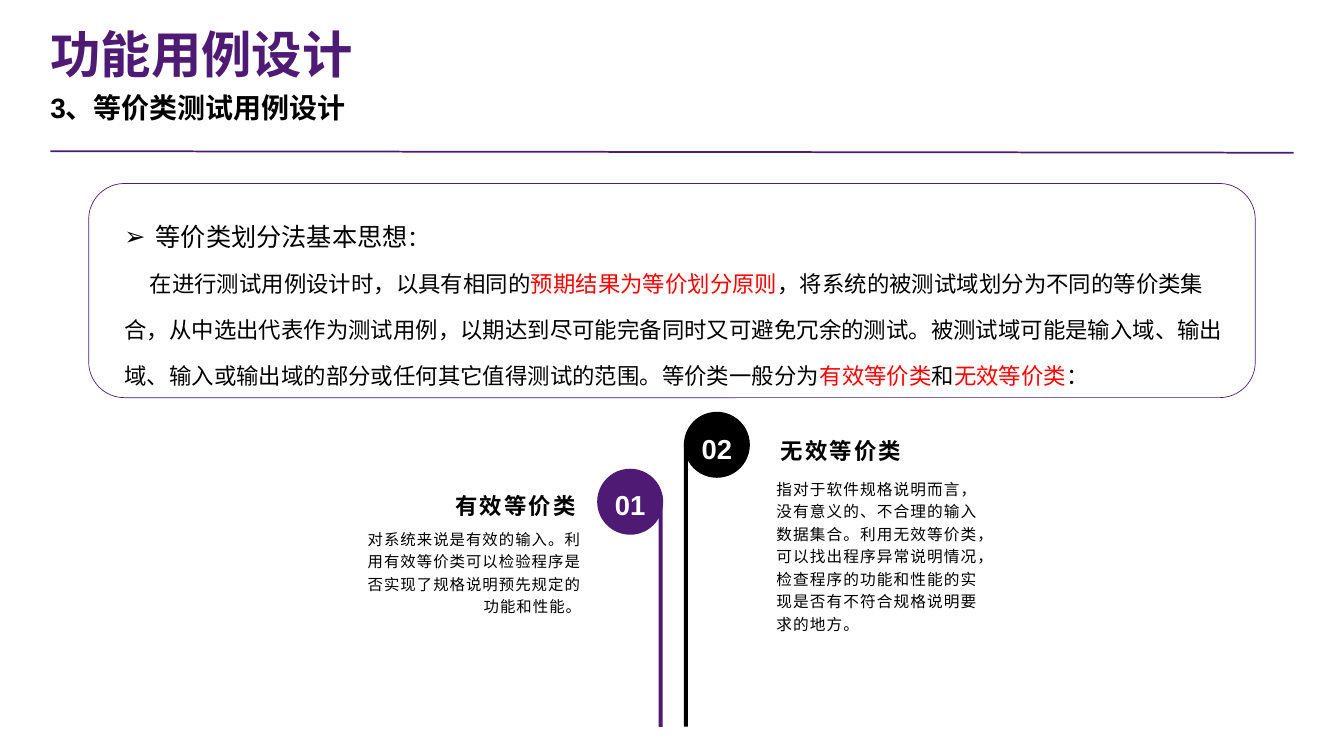
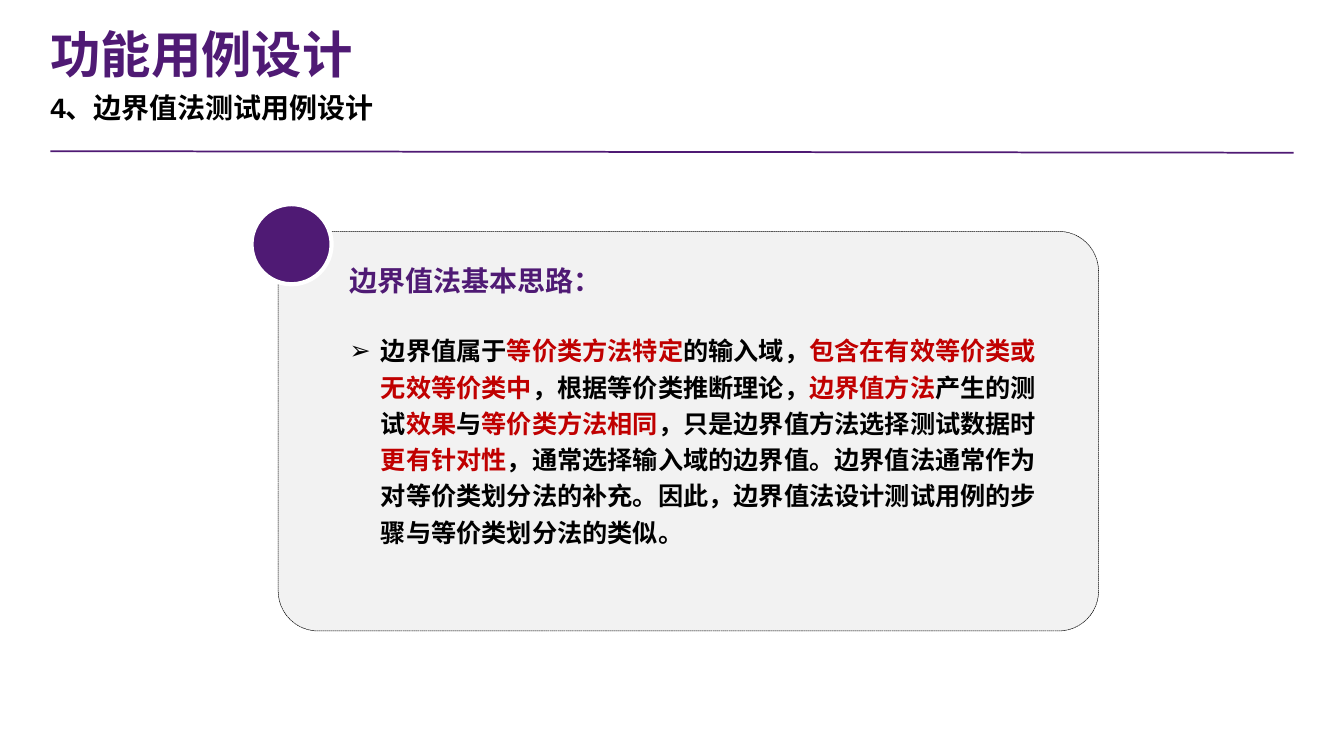
from lxml.etree import SubElement
from pptx import Presentation
from pptx.dml.color import RGBColor
from pptx.enum.dml import MSO_LINE
from pptx.enum.shapes import MSO_CONNECTOR, MSO_SHAPE
from pptx.enum.text import MSO_ANCHOR, PP_ALIGN
from pptx.oxml.ns import qn
from pptx.util import Inches, Pt

PURPLE, BLACK, WHITE = "4F1A74", "000000", "FFFFFF"
GREY, RED, DARK_RED = "F2F2F2", "FF0000", "C00000"
SANS, CJK = "Arial", "Noto Sans CJK SC"
rgb = RGBColor.from_string


def add_shape(s, kind, box, fill=None, line=None, width=1):
    sp = s.shapes.add_shape(kind, *map(Inches, box))
    sp.shadow.inherit = False
    if fill:
        sp.fill.solid()
        sp.fill.fore_color.rgb = rgb(fill)
    else:
        sp.fill.background()
    if line:
        sp.line.color.rgb = rgb(line)
        sp.line.width = Pt(width)
    else:
        sp.line.fill.background()
    return sp


def write(tf, text, size, color=BLACK, mark=RED, font=SANS, bold=False,
          align=PP_ALIGN.LEFT, anchor=MSO_ANCHOR.TOP, inset=(0.1, 0.05),
          spacing=1.2, tracking=0, bullet=False, indent=0):
    """Append a paragraph; every second piece between bars takes the mark colour."""
    tf.word_wrap = True
    tf.vertical_anchor = anchor
    tf.margin_left = tf.margin_right = Inches(inset[0])
    tf.margin_top = tf.margin_bottom = Inches(inset[1])
    p = tf.paragraphs[0] if not tf.text else tf.add_paragraph()
    p.alignment = align
    p.line_spacing = spacing
    pPr = p._p.get_or_add_pPr()
    if bullet:
        pPr.set("marL", str(Inches(0.62)))
        indent = -0.62
        SubElement(pPr, qn("a:buFont")).set("typeface", SANS)
        SubElement(pPr, qn("a:buChar")).set("char", "➢")
    pPr.set("indent", str(Inches(indent)))
    for i, piece in enumerate(text.split("|")):
        r = p.add_run()
        r.text = piece
        for name, value in {"size": Pt(size), "name": font, "bold": bold}.items():
            setattr(r.font, name, value)
        r.font.color.rgb = rgb(mark if i % 2 else color)
        rPr = r._r.get_or_add_rPr()
        rPr.set("lang", "zh-CN")
        if tracking:
            rPr.set("spc", str(int(tracking * 100)))
        SubElement(rPr, qn("a:ea")).set("typeface", CJK)
    return p


prs = Presentation()
prs.slide_width, prs.slide_height = Inches(26.67), Inches(15)

# Shared header
slides = []
for subtitle in ("3、等价类测试用例设计", "4、边界值法测试用例设计"):
    s = prs.slides.add_slide(prs.slide_layouts[6])
    slides.append(s)
    rule = s.shapes.add_connector(MSO_CONNECTOR.STRAIGHT, *map(Inches, (1, 3, 25.67, 3.03)))
    rule.line.color.rgb = rgb(PURPLE)
    rule.line.width = Pt(2.5)
    SubElement(rule._element.spPr, qn("a:effectLst"))
    title = s.shapes.add_textbox(*map(Inches, (1, 0.33, 24.67, 1.33)))
    write(title.text_frame, "功能用例设计", 72, PURPLE, bold=True,
          anchor=MSO_ANCHOR.BOTTOM, inset=(0, 0), spacing=1)
    sub = s.shapes.add_textbox(*map(Inches, (1, 1.67, 24.67, 1)))
    write(sub.text_frame, subtitle, 40, bold=True, inset=(0, 0))

# Slide 1: equivalence classes
s = slides[0]
add_shape(s, MSO_SHAPE.ROUNDED_RECTANGLE, (1.76, 3.64, 23.15, 4.25), line=PURPLE)
tf = s.shapes.add_textbox(*map(Inches, (2.39, 3.82, 21.97, 4.05))).text_frame
idea = dict(font=CJK, anchor=MSO_ANCHOR.MIDDLE, inset=(0.08, 0.08), spacing=1.7)
p = write(tf, "等价类划分法基本思想||：", 36, bullet=True, **idea)
p.runs[-1].font.size = Pt(32)
p._p.remove(p.runs[1]._r)
write(tf, "在进行测试用例设计时，以具有相同的|预期结果为等价划分原则|，将系统的被测试域划分为"
      "不同的等价类集合，从中选出代表作为测试用例，以期达到尽可能完备同时又可避免冗余的测试。"
      "被测试域可能是输入域、输出域、输入或输出域的部分或任何其它值得测试的范围。"
      "等价类一般分为|有效等价类|和|无效等价类|：", 32, indent=0.5, **idea)

DOT, STEM, BASE = 1.31, 0.08, 14.42
branches = [
    # number, colour, dot left/top, stem left, heading box left/top, body left/top, size, align
    ("02", BLACK, 13.57, 8.17, 13.57, (15.29, 8.44), (15.31, 9.39), 22.4, PP_ALIGN.LEFT,
     "无效等价类", "指对于软件规格说明而言，没有意义的、不合理的输入数据集合。利用无效等价类，"
     "可以找出程序异常说明情况，检查程序的功能和性能的实现是否有不符合规格说明要求的地方。"),
    ("01", PURPLE, 11.85, 9.3, 13.07, (7.15, 9.52), (7.15, 10.4), 22, PP_ALIGN.RIGHT,
     "有效等价类", "对系统来说是有效的输入。利用有效等价类可以检验程序是否实现了规格说明"
     "预先规定的功能和性能。"),
]
for number, color, x, y, stem_x, head_at, body_at, size, align, head, body in branches:
    dot = add_shape(s, MSO_SHAPE.OVAL, (x, y, DOT, DOT), color)
    write(dot.text_frame, number, 39.2, WHITE, bold=True,
          align=PP_ALIGN.CENTER, anchor=MSO_ANCHOR.MIDDLE)
    stem_y = y + DOT / 2
    add_shape(s, MSO_SHAPE.RECTANGLE, (stem_x, stem_y, STEM, BASE - stem_y), color)
    tb = s.shapes.add_textbox(*map(Inches, (*head_at, 4.48, 0.87)))
    write(tb.text_frame, head, 32, bold=True, align=align,
          anchor=MSO_ANCHOR.BOTTOM, inset=(0.2, 0.1), tracking=3)
    tb = s.shapes.add_textbox(*map(Inches, (*body_at, 4.48, 3.22)))
    write(tb.text_frame, body, size, align=align, tracking=1.5)

# Slide 2: boundary values
s = slides[1]
card = add_shape(s, MSO_SHAPE.ROUNDED_RECTANGLE, (5.52, 4.59, 16.28, 7.93), GREY, BLACK, 0.75)
card.adjustments[0] = 0.1
card.line.dash_style = MSO_LINE.SQUARE_DOT
add_shape(s, MSO_SHAPE.OVAL, (4.99, 4.05, 1.59, 1.59), PURPLE, WHITE, 6)
tb = s.shapes.add_textbox(*map(Inches, (6.84, 4.91, 6.42, 1.04)))
write(tb.text_frame, "边界值法基本思路：", 40, PURPLE, font=CJK, bold=True,
      anchor=MSO_ANCHOR.BOTTOM, spacing=1)
tb = s.shapes.add_textbox(*map(Inches, (6.84, 6.49, 13.96, 5.1)))
write(tb.text_frame, "边界值属于|等价类方法特定|的输入域，|包含在有效等价类或无效等价类中|，"
      "根据等价类推断理论，|边界值方法|产生的测试|效果|与|等价类方法相同|，"
      "只是边界值方法选择测试数据时|更有针对性|，通常选择输入域的边界值。"
      "边界值法通常作为对等价类划分法的补充。因此，边界值法设计测试用例的步骤与等价类划分法的类似。",
      36, mark=DARK_RED, font=CJK, bold=True, bullet=True)

prs.save("out.pptx")
